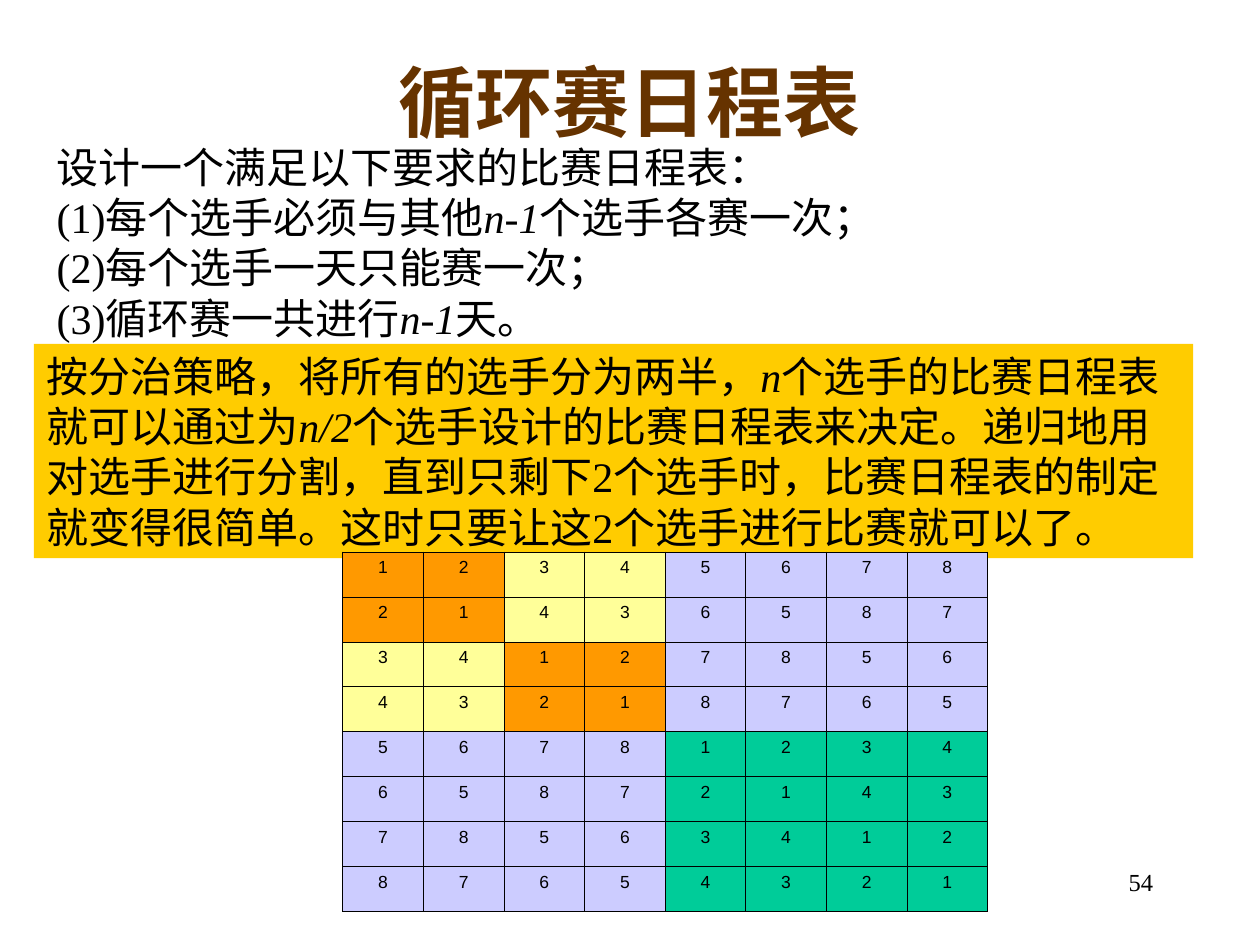
from lxml.etree import SubElement
from pptx import Presentation
from pptx.dml.color import RGBColor
from pptx.enum.shapes import MSO_SHAPE as Shape
from pptx.enum.text import MSO_ANCHOR as Anchor, MSO_AUTO_SIZE as AutoSize, PP_ALIGN as Align
from pptx.oxml import parse_xml
from pptx.oxml.ns import nsdecls, qn
from pptx.util import Inches, Pt

PLAYERS = 8


def color(value):
    return RGBColor.from_string(value)


def schedule_fill(row, col):
    """Colour a cell by the block that the halving puts it in."""
    half = PLAYERS // 2
    if row // half != col // half:
        return "CCCCFF"
    if row >= half:
        return "00CC99"
    return "FF9900" if row // 2 == col // 2 else "FFFF99"


class Deck:
    """Slide style and the current slide; boxes are percentages of its size."""
    serif, sans, cjk = "Times New Roman", "Arial", "Noto Sans CJK SC"
    ink, brown, gold = "000000", "663300", "FFCC00"

    def __init__(self):
        self.prs = Presentation()
        self.prs.slide_width, self.prs.slide_height = Inches(10), Inches(7.5)
        self.s = self.prs.slides.add_slide(self.prs.slide_layouts[1])

    def box(self, x, y, w, h):
        sw, sh = self.prs.slide_width, self.prs.slide_height
        return [int(share * size / 100) for share, size in zip((x, y, w, h), (sw, sh, sw, sh))]

    def place(self, sp, box):
        sp.left, sp.top, sp.width, sp.height = self.box(*box)

    def run(self, p, text, size, font, fill=ink, bold=False, italic=False):
        r = p.add_run()
        r.text = text
        r.font.size, r.font.name = Pt(size), font
        r.font.bold, r.font.italic = bold, italic
        r.font.color.rgb = color(fill)
        SubElement(r.font._element, qn("a:ea")).set("typeface", self.cjk)

    def prose(self, tf, paragraphs, size=24, align=Align.LEFT):
        """Fill a frame; every second run of a paragraph is an italic variable."""
        tf.word_wrap, tf.auto_size = True, AutoSize.NONE
        tf.vertical_anchor = Anchor.TOP
        for i, parts in enumerate(paragraphs):
            p = tf.add_paragraph() if i else tf.paragraphs[0]
            p.alignment, p.space_before = align, Pt(0)
            for j, text in enumerate(parts):
                self.run(p, text, size, self.serif, italic=j % 2 == 1)

    def title(self, text, box):
        sp = self.s.shapes.title
        self.place(sp, box)
        tf = sp.text_frame
        tf.auto_size, tf.vertical_anchor = AutoSize.NONE, Anchor.MIDDLE
        p = tf.paragraphs[0]
        p.alignment = Align.CENTER
        self.run(p, text, 44, self.cjk, self.brown, bold=True)

    def body(self, paragraphs, box):
        sp = self.s.placeholders[1]
        self.place(sp, box)
        self.prose(sp.text_frame, paragraphs)
        for p in sp.text_frame.paragraphs:
            pPr = p._p.get_or_add_pPr()
            pPr.set("marL", "0")
            pPr.set("indent", "0")
            SubElement(pPr, qn("a:buNone"))

    def panel(self, paragraphs, box):
        sp = self.s.shapes.add_shape(Shape.RECTANGLE, *self.box(*box))
        sp.shadow.inherit = False
        sp.fill.solid()
        sp.fill.fore_color.rgb = color(self.gold)
        sp.line.fill.background()
        self.prose(sp.text_frame, paragraphs)

    def page_number(self, text, box):
        sp = self.s.shapes.add_textbox(*self.box(*box))
        self.prose(sp.text_frame, [[text]], size=14, align=Align.RIGHT)

    def border(self, cell):
        tcPr = cell._tc.get_or_add_tcPr()
        for i, side in enumerate(("lnL", "lnR", "lnT", "lnB")):
            tcPr.insert(i, parse_xml(
                f'<a:{side} {nsdecls("a")} w="{Pt(0.45)}"><a:solidFill>'
                f'<a:srgbClr val="{self.ink}"/></a:solidFill></a:{side}>'))

    def schedule(self, box):
        table = self.s.shapes.add_table(PLAYERS, PLAYERS, *self.box(*box)).table
        table.first_row = table.horz_banding = False
        for row in range(PLAYERS):
            for col in range(PLAYERS):
                cell = table.cell(row, col)
                cell.fill.solid()
                cell.fill.fore_color.rgb = color(schedule_fill(row, col))
                self.border(cell)
                p = cell.text_frame.paragraphs[0]
                p.alignment = Align.CENTER
                self.run(p, str((row ^ col) + 1), 10, self.sans)


def main():
    deck = Deck()
    deck.title("循环赛日程表", (7.5, 2.27, 85, 16.67))
    deck.body([
        ["设计一个满足以下要求的比赛日程表："],
        ["(1)每个选手必须与其他", "n-1", "个选手各赛一次；"],
        ["(2)每个选手一天只能赛一次；"],
        ["(3)循环赛一共进行", "n-1", "天。"],
    ], (3.5, 14.27, 91.6, 22.67))
    deck.panel([[
        "按分治策略，将所有的选手分为两半，", "n",
        "个选手的比赛日程表就可以通过为", "n/2",
        "个选手设计的比赛日程表来决定。递归地用对选手进行分割，直到只剩下2个选手时，"
        "比赛日程表的制定就变得很简单。这时只要让这2个选手进行比赛就可以了。",
    ]], (2.7, 36.4, 92, 22.67))
    deck.schedule((27.2, 58.4, 51.2, 38.13))
    deck.page_number("54", (71.7, 91.07, 20.8, 6.67))
    deck.prs.save("out.pptx")


if __name__ == "__main__":
    main()
